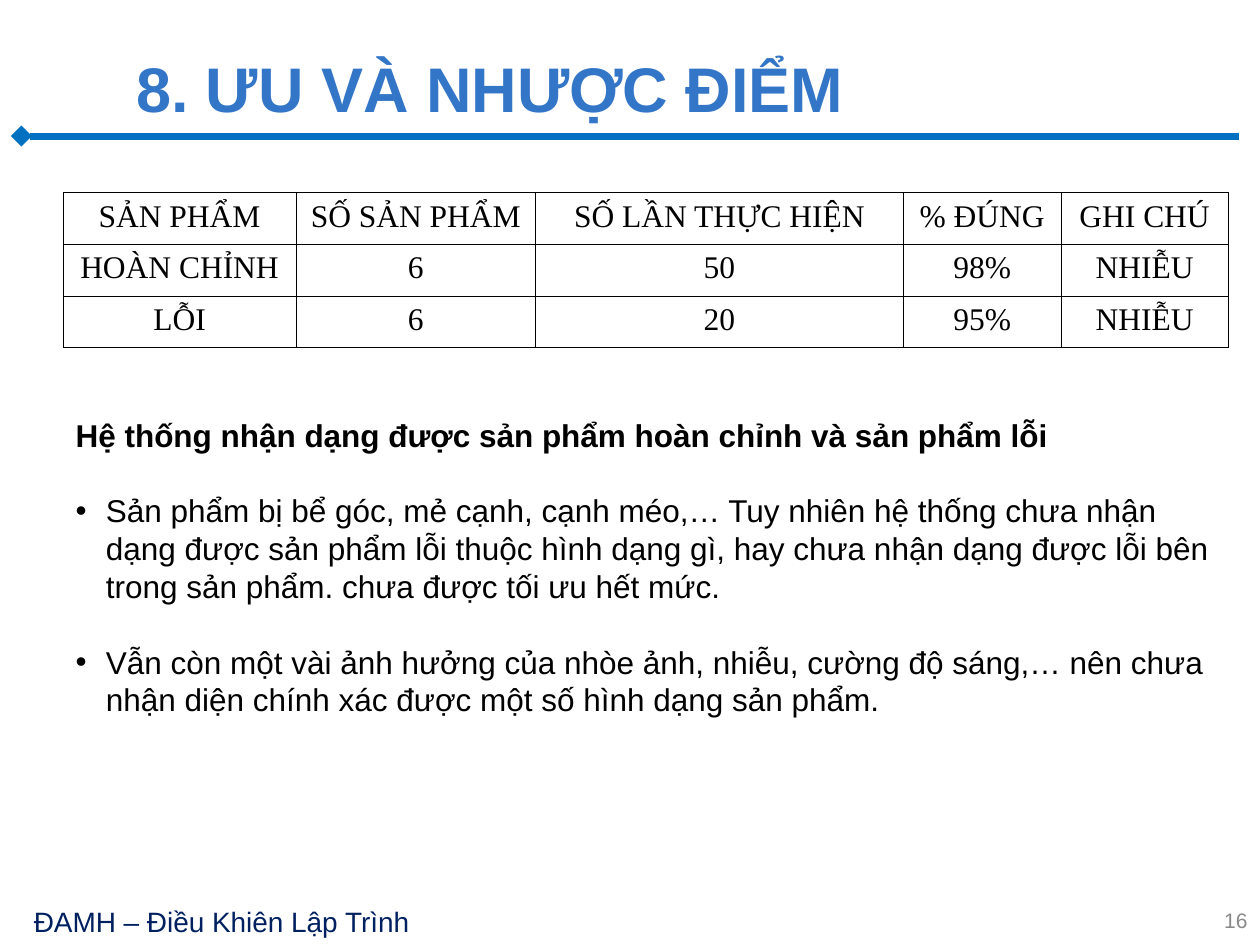
from lxml import etree
from pptx import Presentation
from pptx.dml.color import RGBColor
from pptx.enum.shapes import MSO_CONNECTOR
from pptx.enum.text import MSO_ANCHOR, MSO_AUTO_SIZE, PP_ALIGN
from pptx.oxml import parse_xml
from pptx.oxml.ns import nsdecls, qn
from pptx.util import Inches, Pt

LEFT, CENTER, RIGHT = PP_ALIGN.LEFT, PP_ALIGN.CENTER, PP_ALIGN.RIGHT
TOP, MIDDLE = MSO_ANCHOR.TOP, MSO_ANCHOR.MIDDLE
NO_AUTOFIT = MSO_AUTO_SIZE.NONE
STRAIGHT = MSO_CONNECTOR.STRAIGHT
COLORS = {"rule": "0070C0", "footer": "002060", "title": "3376C7",
          "number": "898989", "text": "000000", "shadow": "1F497D"}


def write(para, text, size=18, color="text", font="Arial", bold=False,
          align=LEFT, before=0, bullet=False, shadow=False):
    props = para._p.get_or_add_pPr()
    if bullet:
        props.set("marL", str(Inches(0.24)))
        props.set("indent", str(-Inches(0.24)))
        etree.SubElement(props, qn("a:buFont")).set("typeface", "Arial")
        etree.SubElement(props, qn("a:buChar")).set("char", "•")
    else:
        props.set("marL", "0")
        props.set("indent", "0")
        etree.SubElement(props, qn("a:buNone"))
    para.alignment = align
    para.space_before = Pt(before)
    span = para.add_run()
    span.text = text
    span.font.size = Pt(size)
    span.font.bold = bold
    span.font.color.rgb = RGBColor.from_string(COLORS[color])
    if shadow:
        span._r.get_or_add_rPr().append(parse_xml(
            f'<a:effectLst {nsdecls("a")}>'
            '<a:outerShdw blurRad="38100" dist="38100" dir="2700000" algn="tl">'
            f'<a:srgbClr val="{COLORS["shadow"]}"/></a:outerShdw></a:effectLst>'))
    span.font.name = font


deck = Presentation()
deck.slide_width, deck.slide_height = Inches(10), Inches(7.5)
page = deck.slides.add_slide(deck.slide_layouts[1])

rule = page.shapes.add_connector(STRAIGHT, Inches(0.17), Inches(1.08),
                                 Inches(9.83), Inches(1.08))
rule.line.color.rgb = RGBColor.from_string(COLORS["rule"])
rule.line.width = Pt(4)
etree.SubElement(rule.line._get_or_add_ln(), qn("a:headEnd")).set("type", "diamond")
etree.SubElement(rule._element.spPr, qn("a:effectLst"))

title, body = page.placeholders
footer = page.shapes.add_textbox(0, 0, 0, 0)
number = page.shapes.add_textbox(0, 0, 0, 0)
frames = [
    (title, 0.98, 0.32, 9.02, 0.74, MIDDLE),
    (body, 0.5, 3.25, 9.25, 2.8, TOP),
    (footer, 0.17, 7.13, 3.42, 0.37, TOP),
    (number, 7.67, 7.1, 2.33, 0.4, MIDDLE),
]
for box, left, top, width, height, anchor in frames:
    box.left, box.top = Inches(left), Inches(top)
    box.width, box.height = Inches(width), Inches(height)
    box.text_frame.word_wrap = True
    box.text_frame.auto_size = NO_AUTOFIT
    box.text_frame.vertical_anchor = anchor

write(title.text_frame.paragraphs[0], "8. ƯU VÀ NHƯỢC ĐIỂM",
      size=36, color="title", bold=True)
write(footer.text_frame.paragraphs[0], "ĐAMH – Điều Khiên Lập Trình",
      size=16, color="footer", shadow=True)
write(number.text_frame.paragraphs[0], "16", size=12, color="number", align=RIGHT)

write(body.text_frame.paragraphs[0],
      "Hệ thống nhận dạng được sản phẩm hoàn chỉnh và sản phẩm lỗi",
      bold=True, shadow=True)
drawbacks = [
    "Sản phẩm bị bể góc, mẻ cạnh, cạnh méo,… Tuy nhiên hệ thống chưa nhận "
    "dạng được sản phẩm lỗi thuộc hình dạng gì, hay chưa nhận dạng được lỗi bên "
    "trong sản phẩm. chưa được tối ưu hết mức.",
    "Vẫn còn một vài ảnh hưởng của nhòe ảnh, nhiễu, cường độ sáng,… nên chưa "
    "nhận diện chính xác được một số hình dạng sản phẩm.",
]
for drawback in drawbacks:
    write(body.text_frame.add_paragraph(), drawback,
          before=21.6, bullet=True, shadow=True)

results = [
    ["SẢN PHẨM", "SỐ SẢN PHẨM", "SỐ LẦN THỰC HIỆN", "% ĐÚNG", "GHI CHÚ"],
    ["HOÀN CHỈNH", "6", "50", "98%", "NHIỄU"],
    ["LỖI", "6", "20", "95%", "NHIỄU"],
]
widths = [1.85, 1.9, 2.92, 1.25, 1.33]
table = page.shapes.add_table(len(results), len(widths), Inches(0.5), Inches(1.53),
                              Inches(9.25), Inches(1.22)).table
table.first_row = table.horz_banding = False
for column, width in zip(table.columns, widths):
    column.width = Inches(width)
for row, values in zip(table.rows, results):
    row.height = Inches(0.41)
    for cell, value in zip(row.cells, values):
        write(cell.text_frame.paragraphs[0], value, font="Times New Roman", align=CENTER)
        props = cell._tc.get_or_add_tcPr()
        for side in ("lnL", "lnR", "lnT", "lnB"):
            props.append(parse_xml(
                f'<a:{side} {nsdecls("a")} w="{Pt(0.45)}"><a:solidFill>'
                f'<a:srgbClr val="{COLORS["text"]}"/></a:solidFill></a:{side}>'))
        cell.fill.background()

deck.save("out.pptx")
